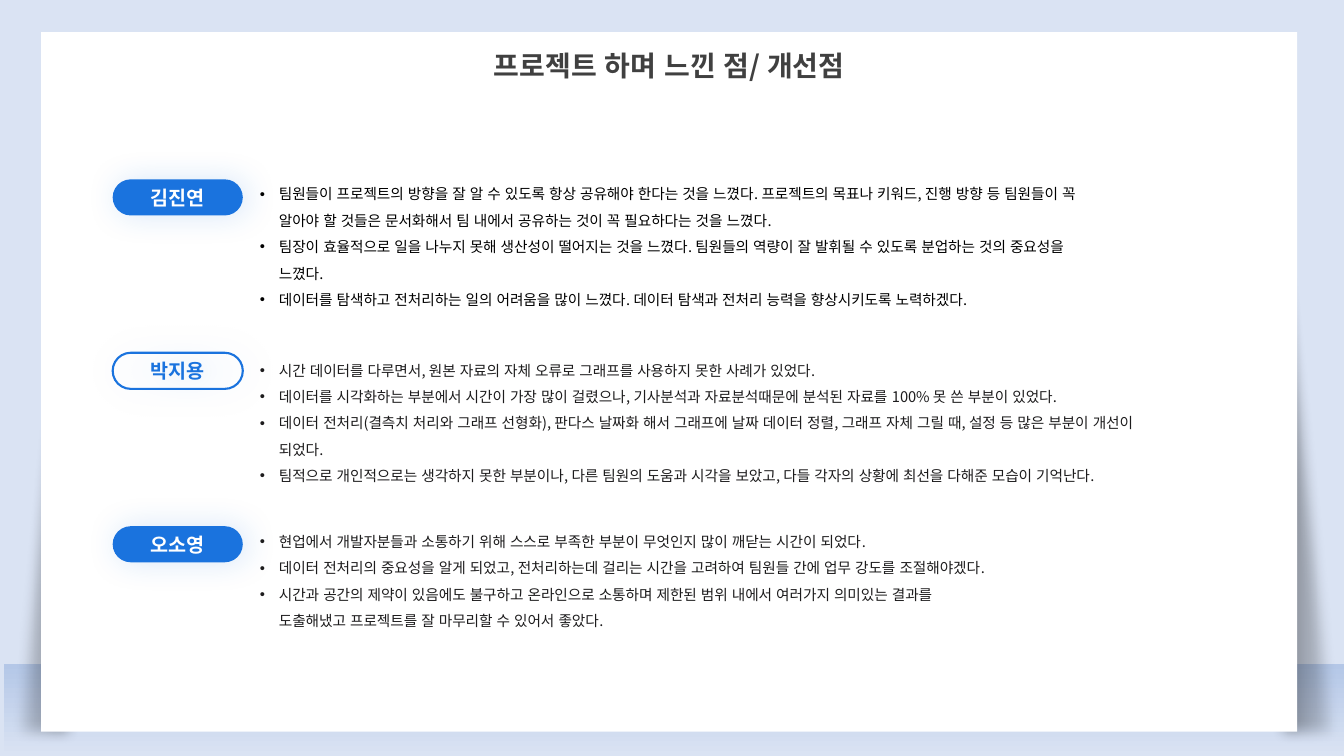
from lxml.etree import SubElement
from pptx import Presentation
from pptx.dml.color import RGBColor
from pptx.enum.lang import MSO_LANGUAGE_ID as Language
from pptx.enum.shapes import MSO_SHAPE as Shape
from pptx.enum.text import MSO_ANCHOR as Anchor, PP_ALIGN as Align
from pptx.oxml.ns import qn
from pptx.util import Cm, Pt

FONT = "Noto Sans CJK KR"
COLORS = {
    "background": "DAE3F3",
    "floor": "B4C7E7",
    "panel": "FFFFFF",
    "title": "404040",
    "accent": "1A73DE",
    "black": "000000",
    "ink": "1D1C1D",
}
PILL_TOP, PILL_PITCH = 4.52, 4.37

# Name, filled pill, text colour, text box (top, width, height), remarks
MEMBERS = [
    ("김진연", True, "black", (4.32, 21.44, 4.14), [
        "팀원들이 프로젝트의 방향을 잘 알 수 있도록 항상 공유해야 한다는 것을 느꼈다. 프로젝트의 목표나 키워드, "
        "진행 방향 등 팀원들이 꼭 알아야 할 것들은 문서화해서 팀 내에서 공유하는 것이 꼭 필요하다는 것을 느꼈다.",
        "팀장이 효율적으로 일을 나누지 못해 생산성이 떨어지는 것을 느꼈다. "
        "팀원들의 역량이 잘 발휘될 수 있도록 분업하는 것의 중요성을 느꼈다.",
        "데이터를 탐색하고 전처리하는 일의 어려움을 많이 느꼈다. "
        "데이터 탐색과 전처리 능력을 향상시키도록 노력하겠다.",
    ]),
    ("박지용", False, "ink", (8.76, 23.6, 3.73), [
        "시간 데이터를 다루면서, 원본 자료의 자체 오류로 그래프를 사용하지 못한 사례가 있었다.",
        "데이터를 시각화하는 부분에서 시간이 가장 많이 걸렸으나, "
        "기사분석과 자료분석때문에 분석된 자료를 100% 못 쓴 부분이 있었다.",
        "데이터 전처리(결측치 처리와 그래프 선형화), 판다스 날짜화 해서 그래프에 날짜 데이터 정렬, "
        "그래프 자체 그릴 때, 설정 등 많은 부분이 개선이 되었다.",
        "팀적으로 개인적으로는 생각하지 못한 부분이나, 다른 팀원의 도움과 시각을 보았고, "
        "다들 각자의 상황에 최선을 다해준 모습이 기억난다.",
    ]),
    ("오소영", True, "ink", (13.08, 18.75, 3.81), [
        "현업에서 개발자분들과 소통하기 위해 스스로 부족한 부분이 무엇인지 많이 깨닫는 시간이 되었다.",
        "데이터 전처리의 중요성을 알게 되었고, 전처리하는데 걸리는 시간을 고려하여 "
        "팀원들 간에 업무 강도를 조절해야겠다.",
        "시간과 공간의 제약이 있음에도 불구하고 온라인으로 소통하며 제한된 범위 내에서 여러가지 의미있는 결과를 "
        "도출해냈고 프로젝트를 잘 마무리할 수 있어서 좋았다.",
    ]),
]


def color(name):
    return RGBColor.from_string(COLORS[name])


def add_span(para, text, size, tint, bold=False):
    span = para.add_run()
    span.text = text
    font = span.font
    font.name, font.size, font.bold = FONT, Pt(size), bold
    font.color.rgb = color(tint)
    font.language_id = Language.KOREAN
    SubElement(font._element, qn("a:ea"), typeface=FONT)


def add_plain(page, kind, left, top, width, height, fill=None):
    shape = page.shapes.add_shape(kind, Cm(left), Cm(top), Cm(width), Cm(height))
    shape.line.fill.background()
    shape.shadow.inherit = False
    if fill:
        shape.fill.solid()
        shape.fill.fore_color.rgb = color(fill)
    else:
        shape.fill.background()
    return shape


def fill_gradient(shape, tints, angle, alphas=()):
    shape.fill.gradient()
    shape.fill.gradient_angle = angle
    for stop, tint in zip(shape.fill.gradient_stops, tints):
        stop.color.rgb = color(tint)
    for node, alpha in zip(shape.element.spPr.iter(qn("a:srgbClr")), alphas):
        SubElement(node, qn("a:alpha"), val=str(alpha * 1000))


def add_side_shade(page, left, flipped):
    shade = add_plain(page, Shape.RIGHT_TRIANGLE, left, 0, 1.9, 18.75)
    fill_gradient(shade, ("black", "black"), 180, (0, 48))
    if flipped:
        shade.element.spPr.find(qn("a:xfrm")).set("flipH", "1")
    effects = shade.element.spPr.find(qn("a:effectLst"))
    SubElement(effects, qn("a:softEdge"), rad=str(Cm(0.35)))


def add_title(page, text):
    title = page.shapes.title
    title.left, title.top, title.width, title.height = Cm(1.04), Cm(0.81), Cm(31.65), Cm(1.8)
    # Lift the title above the panel
    title.element.getparent().append(title.element)
    frame = title.text_frame
    frame.vertical_anchor = Anchor.TOP
    frame.margin_top = Cm(0.41)
    para = frame.paragraphs[0]
    para.alignment = Align.CENTER
    add_span(para, text, 20, "title", True)


def add_pill(page, top, name, filled):
    pill = add_plain(page, Shape.ROUNDED_RECTANGLE, 2.84, top, 3.28, 0.91, "accent" if filled else None)
    pill.adjustments[0] = 0.5
    if not filled:
        pill.line.color.rgb = color("accent")
        pill.line.width = Pt(1.5)
    effects = pill.element.spPr.find(qn("a:effectLst"))
    glow = SubElement(effects, qn("a:outerShdw"), blurRad=str(Pt(23)), dist=str(Pt(3)), dir="0",
                      algn="ctr", rotWithShape="0")
    tint = SubElement(glow, qn("a:srgbClr"), val=COLORS["accent"])
    SubElement(tint, qn("a:alpha"), val="17000")
    pill.text_frame.vertical_anchor = Anchor.MIDDLE
    para = pill.text_frame.paragraphs[0]
    para.alignment = Align.CENTER
    add_span(para, name, 14, "panel" if filled else "accent", True)


def add_bullets(page, top, width, height, remarks, tint):
    box = page.shapes.add_textbox(Cm(6.3), Cm(top), Cm(width), Cm(height))
    frame = box.text_frame
    frame.word_wrap = True
    for index, remark in enumerate(remarks):
        para = frame.add_paragraph() if index else frame.paragraphs[0]
        para.line_spacing = 1.5
        props = para._p.get_or_add_pPr()
        props.set("marL", str(Cm(0.48)))
        props.set("indent", str(-Cm(0.48)))
        SubElement(props, qn("a:buFont"), typeface="Arial")
        SubElement(props, qn("a:buChar"), char="•")
        add_span(para, remark, 10.5, tint)


def main():
    deck = Presentation()
    deck.slide_width, deck.slide_height = Cm(33.87), Cm(19.05)
    page = deck.slides.add_slide(deck.slide_layouts.get_by_name("Title Only"))
    page.background.fill.solid()
    page.background.fill.fore_color.rgb = color("background")

    # Floor, side shades and white panel
    floor = add_plain(page, Shape.RECTANGLE, 0.1, 16.74, 33.77, 2.31)
    fill_gradient(floor, ("floor", "background"), 270)
    add_side_shade(page, 0.1, True)
    add_side_shade(page, 32.05, False)
    add_plain(page, Shape.RECTANGLE, 1.04, 0.81, 31.65, 17.63, "panel")
    add_title(page, "프로젝트 하며 느낀 점/ 개선점")

    # One row per team member
    for row, (name, filled, tint, (top, width, height), remarks) in enumerate(MEMBERS):
        add_pill(page, PILL_TOP + row * PILL_PITCH, name, filled)
        add_bullets(page, top, width, height, remarks, tint)

    deck.save("out.pptx")


if __name__ == "__main__":
    main()
